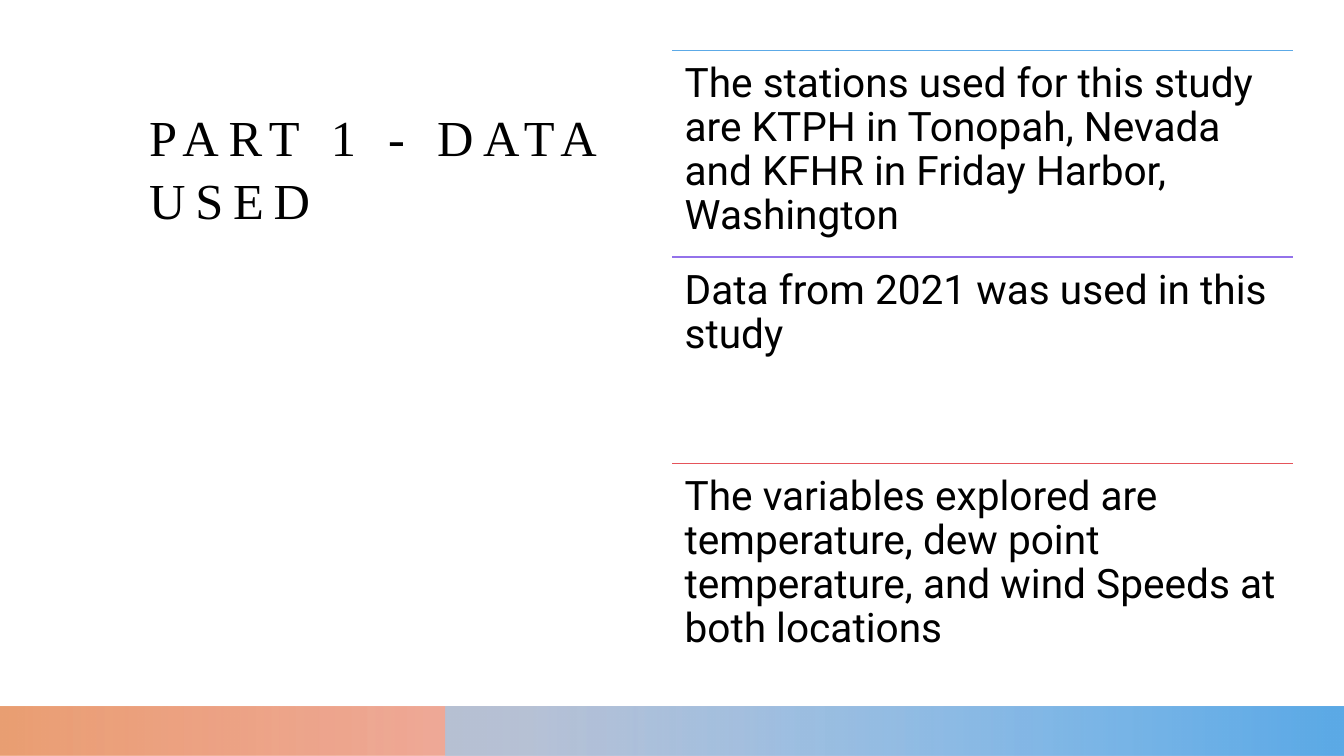
from dataclasses import dataclass

from lxml.etree import SubElement
from pptx import Presentation
from pptx.dml.color import RGBColor
from pptx.enum.shapes import MSO_CONNECTOR, MSO_SHAPE
from pptx.oxml.ns import qn
from pptx.slide import Slide
from pptx.util import Inches, Pt


@dataclass(frozen=True)
class Theme:
    title_font: str = "Times New Roman"
    body_font: str = "Roboto"
    title_size: float = 36
    body_size: float = 29
    title_tracking: float = 7
    rule_width: float = 1
    text: str = "000000"
    orange: str = "E78F5B"
    red: str = "E5535A"
    pale_blue: str = "9DCCF1"
    blue: str = "5CAAE7"
    purple: str = "9372EA"


@dataclass(frozen=True)
class Stop:
    position: float
    color: str
    opacity: int


@dataclass(frozen=True)
class Band:
    left: float
    stops: tuple[Stop, Stop]


@dataclass(frozen=True)
class Fact:
    text: str
    color: str


THEME = Theme()
SLIDE_W, SLIDE_H = 13.33, 7.5
BAND_H = 0.49
FACT_LEFT, FACT_TOP, FACT_W, FACT_H = 6.67, 0.5, 6.15, 2.05
FACT_INSET = 0.12

BANDS = (
    Band(0, (Stop(0, THEME.orange, 85), Stop(0.86, THEME.red, 28))),
    Band(4.42, (Stop(0.09, THEME.pale_blue, 68), Stop(0.99, THEME.blue, 100))),
)
FACTS = (
    Fact("The stations used for this study are KTPH in Tonopah, Nevada "
         "and KFHR in Friday Harbor, Washington", THEME.blue),
    Fact("Data from 2021 was used in this study", THEME.purple),
    Fact("The variables explored are temperature, dew point temperature, "
         "and wind Speeds at both locations", THEME.red),
)


def add_band(s: Slide, band: Band) -> None:
    sp = s.shapes.add_shape(
        MSO_SHAPE.RECTANGLE, Inches(band.left), Inches(SLIDE_H - BAND_H),
        Inches(SLIDE_W - band.left), Inches(BAND_H))
    sp.shadow.inherit = False
    sp.line.fill.background()
    sp.fill.gradient()
    sp.fill.gradient_angle = 0
    for gs, stop in zip(sp.fill.gradient_stops, band.stops):
        gs.position = stop.position
        gs.color.rgb = RGBColor.from_string(stop.color)
    colors = sp.fill._xPr.iter(qn("a:srgbClr"))
    for color, stop in zip(colors, band.stops):
        SubElement(color, qn("a:alpha"), val=str(stop.opacity * 1000))


def add_text(s: Slide, text: str, left: float, top: float, width: float,
             height: float, font: str, size: float, spacing: float,
             inset: float = 0, tracking: float = 0) -> None:
    sp = s.shapes.add_textbox(
        Inches(left), Inches(top), Inches(width), Inches(height))
    tf = sp.text_frame
    tf.word_wrap = True
    tf.margin_left = tf.margin_right = Inches(inset)
    tf.margin_top = tf.margin_bottom = Inches(inset)
    p = tf.paragraphs[0]
    p.line_spacing = spacing
    r = p.add_run()
    r.text = text
    r.font.name = font
    r.font.size = Pt(size)
    r.font.color.rgb = RGBColor.from_string(THEME.text)
    if tracking:
        r.font._element.set("spc", str(round(tracking * 100)))


def add_rule(s: Slide, top: float, color: str) -> None:
    rule = s.shapes.add_connector(
        MSO_CONNECTOR.STRAIGHT, Inches(FACT_LEFT), Inches(top),
        Inches(FACT_LEFT + FACT_W), Inches(top))
    rule.line.color.rgb = RGBColor.from_string(color)
    rule.line.width = Pt(THEME.rule_width)
    SubElement(rule._element.spPr, qn("a:effectLst"))


def main() -> None:
    prs = Presentation()
    prs.slide_width, prs.slide_height = Inches(SLIDE_W), Inches(SLIDE_H)
    s = prs.slides.add_slide(prs.slide_layouts[6])
    add_text(s, "PART 1 - DATA USED", 1.48, 1.02, 5.02, 4.99,
             THEME.title_font, THEME.title_size, 1.05,
             tracking=THEME.title_tracking)
    for band in BANDS:
        add_band(s, band)
    for i, fact in enumerate(FACTS):
        top = FACT_TOP + i * FACT_H
        add_rule(s, top, fact.color)
        add_text(s, fact.text, FACT_LEFT, top, FACT_W, FACT_H,
                 THEME.body_font, THEME.body_size, 0.9, inset=FACT_INSET)
    prs.save("out.pptx")


if __name__ == "__main__":
    main()
